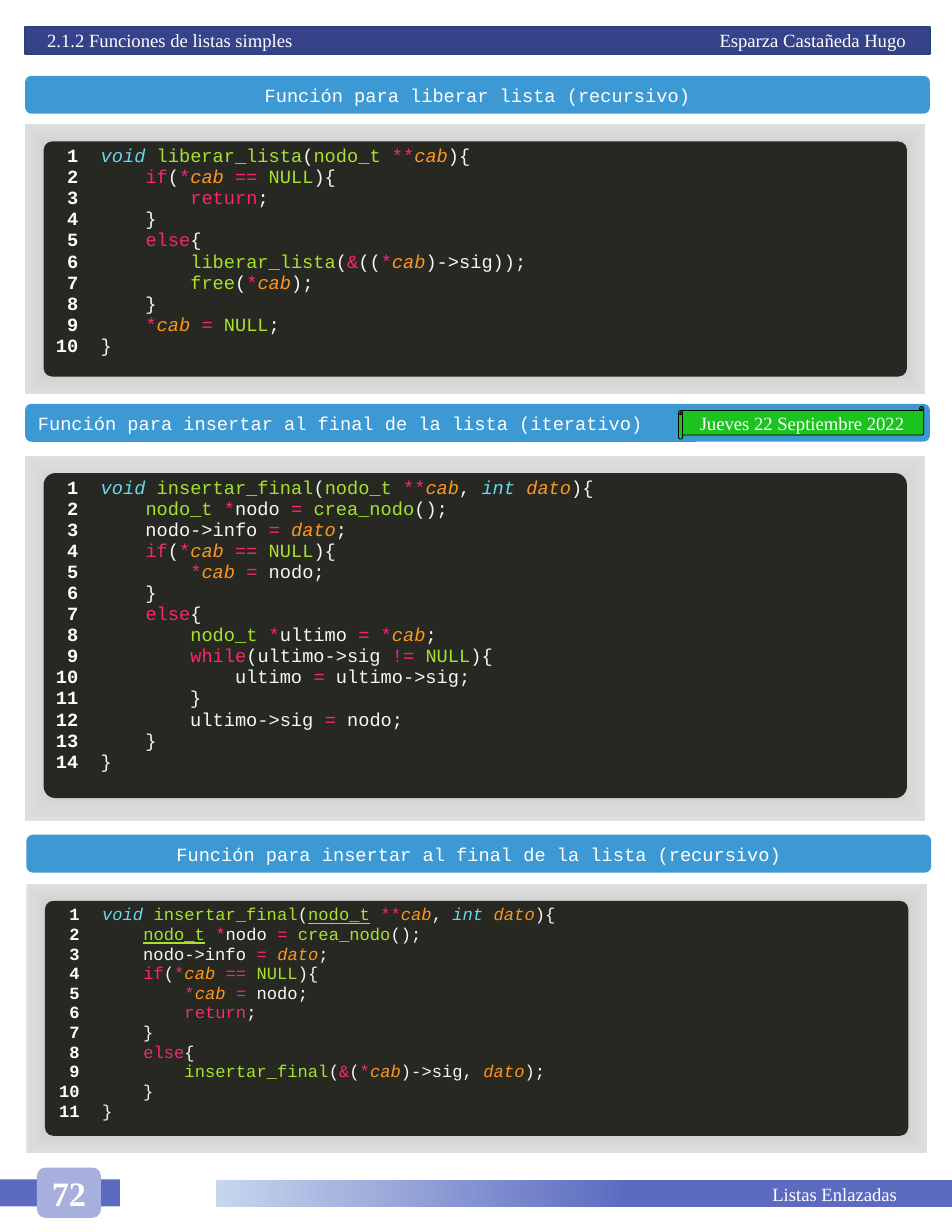
from itertools import groupby

from lxml import etree
from pptx import Presentation
from pptx import util as u
from pptx.dml.color import RGBColor
from pptx.enum import shapes, text
from pptx.oxml import parse_xml
from pptx.oxml.ns import nsdecls, qn

Cm, Pt = u.Cm, u.Pt
KIND, ALIGN = shapes.MSO_SHAPE, text.PP_ALIGN

NAVY = RGBColor(0x36, 0x42, 0x8A)
EDGE = RGBColor(0x28, 0x45, 0x7A)
INDIGO = RGBColor(0x5C, 0x6B, 0xC0)
LILAC = RGBColor(0xA7, 0xAF, 0xDD)
PALE = RGBColor(0xC7, 0xD5, 0xED)
BLUE = RGBColor(0x3C, 0x99, 0xD4)
LIME = RGBColor(0x1C, 0xC2, 0x20)
BLACK = RGBColor(0, 0, 0)
WHITE = RGBColor(0xFF, 0xFF, 0xFF)
DARK = RGBColor(0x27, 0x28, 0x22)
GREYS = [(11, RGBColor(0x7B, 0x7B, 0x7B)), (61, RGBColor(0xBC, 0xBC, 0xBC)),
         (100, RGBColor(0xDE, 0xDE, 0xDE))]

# Code colours
CREAM = RGBColor(0xF8, 0xF8, 0xF2)
CYAN = RGBColor(0x66, 0xD9, 0xEF)
GREEN = RGBColor(0xA6, 0xE2, 0x2E)
PINK = RGBColor(0xF9, 0x26, 0x72)
ORANGE = RGBColor(0xFD, 0x97, 0x1F)

WORDS = {
    CYAN: "void int",
    ORANGE: "cab dato",
    PINK: "if else return while",
    GREEN: "liberar_lista insertar_final nodo_t crea_nodo free NULL",
}
TINT = {word: tone for tone, words in WORDS.items() for word in words.split()}

SERIF = dict(name="Times New Roman", size=Pt(12), color=WHITE)
MONO = dict(name="Courier New", size=Pt(12), color=WHITE)
NO_GRID = "{2D5ABB26-0587-4C30-8999-92F81FD0307C}"

FREE = """void liberar_lista(nodo_t **cab){
    if(*cab == NULL){
        return;
    }
    else{
        liberar_lista(&((*cab)->sig));
        free(*cab);
    }
    *cab = NULL;
}"""

LOOP = """void insertar_final(nodo_t **cab, int dato){
    nodo_t *nodo = crea_nodo();
    nodo->info = dato;
    if(*cab == NULL){
        *cab = nodo;
    }
    else{
        nodo_t *ultimo = *cab;
        while(ultimo->sig != NULL){
            ultimo = ultimo->sig;
        }
        ultimo->sig = nodo;
    }
}"""

RECUR = """void insertar_final(nodo_t **cab, int dato){
    nodo_t *nodo = crea_nodo();
    nodo->info = dato;
    if(*cab == NULL){
        *cab = nodo;
        return;
    }
    else{
        insertar_final(&(*cab)->sig, dato);
    }
}"""


def style(font, form):
    for key, value in form.items():
        if key == "color":
            font.color.rgb = value
        else:
            setattr(font, key, value)


def write(shape, words, form, align=ALIGN.CENTER, **frame):
    body = shape.text_frame
    frame = dict(word_wrap=True, vertical_anchor=text.MSO_ANCHOR.MIDDLE,
                 auto_size=text.MSO_AUTO_SIZE.NONE, margin_top=0,
                 margin_bottom=0) | frame
    for key, value in frame.items():
        setattr(body, key, value)
    para = body.paragraphs[0]
    para.alignment = align
    run = para.add_run()
    run.text = words
    style(run.font, form)
    return para


def box(slide, place, kind, fill=None, line=None, width=1):
    shape = slide.shapes.add_shape(kind, *map(Cm, place))
    shape.shadow.inherit = False
    if fill is not None:
        shape.fill.solid()
        shape.fill.fore_color.rgb = fill
    if line is None:
        shape.line.fill.background()
    else:
        shape.line.color.rgb = line
        shape.line.width = Pt(width)
    return shape


def shade(shape, stops, way):
    """Give the shape a gradient; way is the XML of its direction."""
    marks = "".join(f'<a:gs pos="{pos * 1000}"><a:srgbClr val="{tone}"/></a:gs>'
                    for pos, tone in stops)
    grad = parse_xml(f'<a:gradFill {nsdecls("a")} rotWithShape="1">'
                     f'<a:gsLst>{marks}</a:gsLst>{way}</a:gradFill>')
    shape.element.spPr.find(qn("a:prstGeom")).addnext(grad)


def head(slide, topic, author):
    title = slide.shapes.title
    place = zip(("left", "top", "width", "height"), (0.57, 0.61, 20.52, 0.61))
    for key, value in place:
        setattr(title, key, Cm(value))
    title.element.spPr.append(parse_xml(
        f'<a:prstGeom {nsdecls("a")} prst="roundRect"><a:avLst/></a:prstGeom>'))
    title.fill.solid()
    title.fill.fore_color.rgb = NAVY
    title.line.color.rgb = EDGE
    title.line.width = Pt(1)
    para = write(title, f"{topic}\t{author}", SERIF, ALIGN.LEFT,
                 margin_left=Cm(0.5), margin_right=Cm(0.4))
    tabs = etree.SubElement(para._p.get_or_add_pPr(), qn("a:tabLst"))
    etree.SubElement(tabs, qn("a:tab"), pos=str(Cm(19.48)), algn="r")


def group(char):
    if char.isalnum() or char == "_":
        return "word"
    return "sign" if char in "*&=!" else "rest"


def paint(para, line, form, under):
    """Write one line of code with its syntax colours."""
    for kind, chars in groupby(line, group):
        run = para.add_run()
        run.text = word = "".join(chars)
        tone = PINK if kind == "sign" else TINT.get(word, CREAM)
        style(run.font, form | dict(color=tone, italic=tone in (CYAN, ORANGE)))
        if word in under:
            run.font.underline = True


def listing(slide, code, place, size, under):
    frame = slide.shapes.add_table(1, 2, *map(Cm, place))
    for mark in frame.element.iter(qn("a:tableStyleId")):
        mark.text = NO_GRID
    table = frame.table
    table.first_row = table.horz_banding = False
    for col, width in zip(table.columns, (1.04, 18.54)):
        col.width = Cm(width)
    form = MONO | dict(size=Pt(size))
    nums, body = (table.cell(0, col) for col in range(2))
    for cell in (nums, body):
        cell.fill.background()
    for row, line in enumerate(code.splitlines()):
        num, para = (cell.text_frame.add_paragraph() if row
                     else cell.text_frame.paragraphs[0] for cell in (nums, body))
        num.alignment = ALIGN.RIGHT
        run = num.add_run()
        run.text = str(row + 1)
        style(run.font, form | dict(bold=True))
        paint(para, line, form, under)


def block(slide, name, code, left, top, frame, tall, pad,
          size=12, align=ALIGN.CENTER, under=()):
    """Section bar, grey frame, dark panel and numbered code."""
    bar = box(slide, (left, top, 20.52, 0.86), KIND.ROUNDED_RECTANGLE, BLUE)
    write(bar, name, MONO, align)
    grey = box(slide, (left, frame, 20.42, tall + pad), KIND.RECTANGLE)
    shade(grey, GREYS, '<a:path path="rect"><a:fillToRect l="50000" t="50000" '
                       'r="50000" b="50000"/></a:path>')
    place = (left + 0.42, frame + 0.39, 19.58, tall)
    panel = box(slide, place, KIND.ROUNDED_RECTANGLE, DARK)
    panel.adjustments[0] = 0.036
    listing(slide, code, place, size, under)


def foot(slide, page, topic):
    box(slide, (0, 26.75, 2.72, 0.61), KIND.RECTANGLE, INDIGO)
    badge = box(slide, (0.84, 26.48, 1.45, 1.14), KIND.ROUNDED_RECTANGLE, LILAC)
    write(badge, page, SERIF | dict(size=Pt(22), bold=True),
          margin_left=0, margin_right=0)
    band = box(slide, (4.9, 26.77, 16.69, 0.61), KIND.RECTANGLE)
    shade(band, [(44, INDIGO), (100, PALE)], '<a:lin ang="10800000" scaled="0"/>')
    write(band, topic, SERIF, ALIGN.RIGHT, margin_right=Cm(1.24))


def main():
    deck = Presentation()
    deck.slide_width, deck.slide_height = Cm(21.59), Cm(27.94)
    slide = deck.slides.add_slide(deck.slide_layouts[5])

    head(slide, "2.1.2 Funciones de listas simples", "Esparza Castañeda Hugo")
    block(slide, "Función para liberar lista (recursivo)", FREE,
          0.57, 1.72, 2.82, 5.33, 0.79)
    block(slide, "Función para insertar al final de la lista (iterativo)", LOOP,
          0.57, 9.16, 10.34, 7.37, 0.91, align=ALIGN.LEFT)
    block(slide, "Función para insertar al final de la lista (recursivo)", RECUR,
          0.6, 18.93, 20.04, 5.33, 0.79, size=11, under=("nodo_t",))

    # Date ribbon on the second section bar
    date = box(slide, (15.39, 9.22, 5.56, 0.74), KIND.HORIZONTAL_SCROLL,
               LIME, BLACK, 0.5)
    write(date, "Jueves 22 Septiembre 2022", SERIF, margin_left=0, margin_right=0)

    foot(slide, "72", "Listas Enlazadas")
    deck.save("out.pptx")


if __name__ == "__main__":
    main()
